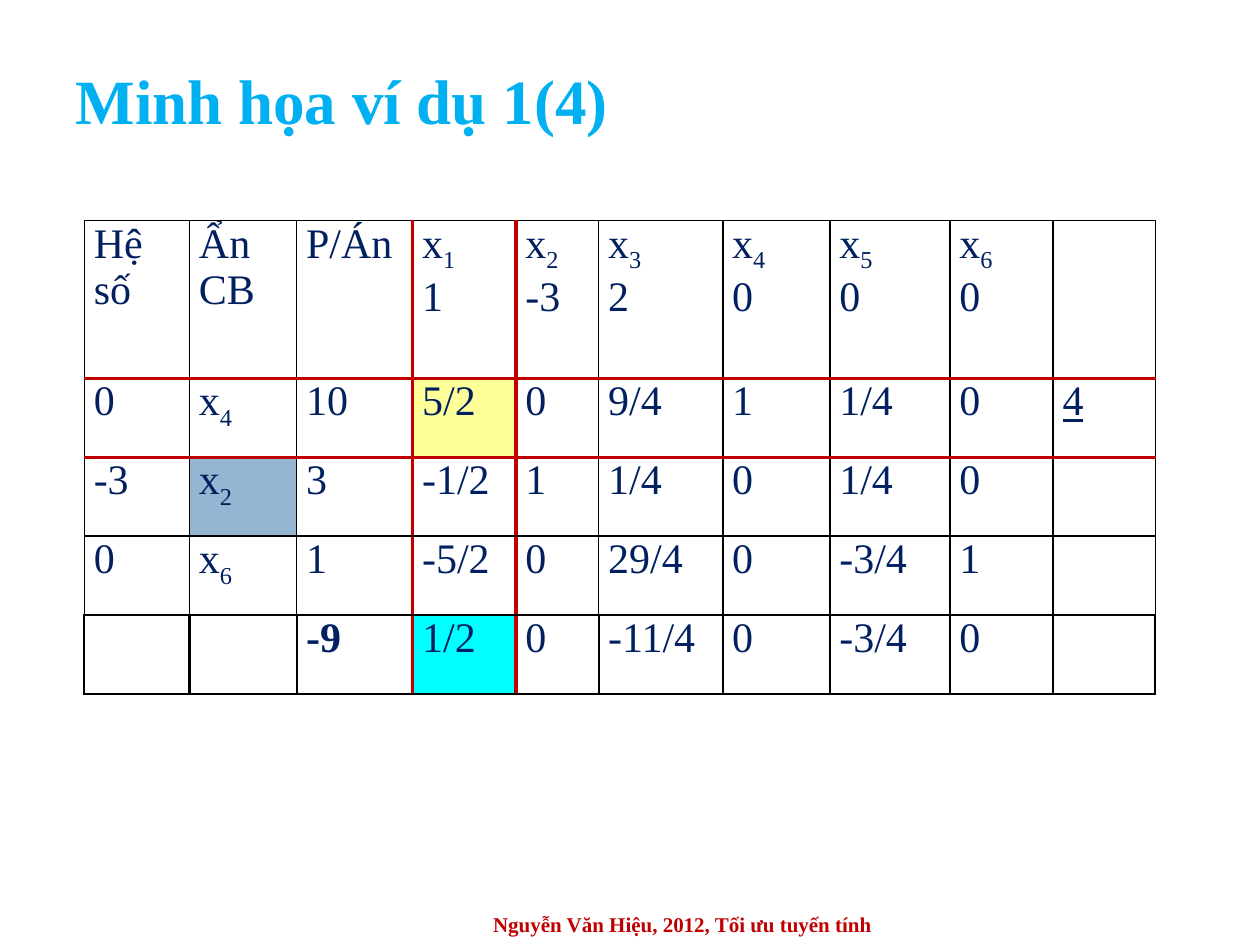
from dataclasses import dataclass

from lxml import etree
from pptx import Presentation
from pptx.dml.color import RGBColor
from pptx.enum.text import MSO_ANCHOR, PP_ALIGN
from pptx.oxml.ns import qn
from pptx.table import Table, _Cell
from pptx.text.text import TextFrame, _Paragraph
from pptx.util import Cm, Pt

LEFT, CENTER, JUSTIFY = PP_ALIGN.LEFT, PP_ALIGN.CENTER, PP_ALIGN.JUSTIFY
MIDDLE = MSO_ANCHOR.MIDDLE


@dataclass(frozen=True)
class Theme:
    font: str = "Times New Roman"
    title_color: str = "00B0F0"
    text_color: str = "002060"
    accent: str = "C00000"
    line: str = "000000"
    pivot: str = "FFFF99"
    leaving: str = "94B6D2"
    entering: str = "00FFFF"
    title_size: float = 36
    cell_size: float = 24
    footer_size: float = 12


@dataclass(frozen=True)
class Border:
    color: str
    width: float


@dataclass(frozen=True)
class Style:
    size: float
    color: str
    bold: bool = False
    underline: bool = False


THEME = Theme()
THIN = Border(THEME.line, 1)
MEDIUM = Border(THEME.line, 1.5)
THICK = Border(THEME.accent, 2.25)

COLUMNS = (2.12, 2.16, 2.34, 2.08, 1.67, 2.5, 2.16, 2.42, 2.08, 2.06)
ROWS = (3.18, 1.59, 1.59, 1.59, 1.59)
TABLEAU = (
    ("Hệ số", "Ẩn CB", "P/Án", "x_1\n1", "x_2\n-3", "x_3\n2", "x_4\n0", "x_5\n0", "x_6\n0", ""),
    ("0", "x_4", "10", "5/2", "0", "9/4", "1", "1/4", "0", "4"),
    ("-3", "x_2", "3", "-1/2", "1", "1/4", "0", "1/4", "0", ""),
    ("0", "x_6", "1", "-5/2", "0", "29/4", "0", "-3/4", "1", ""),
    ("", "", "-9", "1/2", "0", "-11/4", "0", "-3/4", "0", ""),
)
FILLS = {(1, 3): THEME.pivot, (2, 1): THEME.leaving, (4, 3): THEME.entering}
CELL_STYLE = Style(THEME.cell_size, THEME.text_color)
SPECIAL_STYLES = {
    (1, 9): Style(THEME.cell_size, THEME.text_color, underline=True),
    (4, 2): Style(THEME.cell_size, THEME.text_color, bold=True),
}
LAST_ROW = len(ROWS) - 1
PIVOT_EDGES = (3, 4)
ROW_EDGES = (THIN, THICK, THICK, THIN, MEDIUM, MEDIUM)


def add_run(p: _Paragraph, text: str, style: Style, subscript: bool = False) -> None:
    r = p.add_run()
    r.text = text
    formats = {
        "name": THEME.font,
        "size": Pt(style.size),
        "bold": style.bold,
        "underline": style.underline,
    }
    for name, value in formats.items():
        setattr(r.font, name, value)
    r.font.color.rgb = RGBColor.from_string(style.color)
    if subscript:
        r._r.get_or_add_rPr().set("baseline", "-25000")


def write(tf: TextFrame, text: str, style: Style, align: PP_ALIGN) -> None:
    for i, line in enumerate(text.split("\n")):
        p = tf.add_paragraph() if i else tf.paragraphs[0]
        p.alignment = align
        base, _, index = line.partition("_")
        add_run(p, base, style)
        if index:
            add_run(p, index, style, subscript=True)


def set_borders(cell: _Cell, row: int, col: int) -> None:
    def column_edge(edge: int) -> Border:
        if edge in PIVOT_EDGES:
            return THICK
        return MEDIUM if row == LAST_ROW else THIN

    borders = {
        "a:lnL": column_edge(col),
        "a:lnR": column_edge(col + 1),
        "a:lnT": ROW_EDGES[row],
        "a:lnB": ROW_EDGES[row + 1],
    }
    tc_pr = cell._tc.get_or_add_tcPr()
    for tag, border in borders.items():
        ln = etree.SubElement(tc_pr, qn(tag), w=str(Pt(border.width)))
        solid = etree.SubElement(ln, qn("a:solidFill"))
        etree.SubElement(solid, qn("a:srgbClr"), val=border.color)


def fill_cell(table: Table, row: int, col: int, text: str) -> None:
    cell = table.cell(row, col)
    margins = {
        "margin_left": Cm(0.19),
        "margin_right": Cm(0.19),
        "margin_top": 0,
        "margin_bottom": 0,
    }
    for name, value in margins.items():
        setattr(cell, name, value)
    set_borders(cell, row, col)
    color = FILLS.get((row, col))
    if color:
        cell.fill.solid()
        cell.fill.fore_color.rgb = RGBColor.from_string(color)
    else:
        cell.fill.background()
    if text:
        write(cell.text_frame, text, SPECIAL_STYLES.get((row, col), CELL_STYLE), JUSTIFY)


def add_tableau(s) -> None:
    frame = s.shapes.add_table(
        len(ROWS), len(COLUMNS), Cm(1.7), Cm(4.45), Cm(sum(COLUMNS)), Cm(sum(ROWS))
    )
    table = frame.table
    table.first_row = False
    table.horz_banding = False
    for column, width in zip(table.columns, COLUMNS):
        column.width = Cm(width)
    for row, height in zip(table.rows, ROWS):
        row.height = Cm(height)
    for i, values in enumerate(TABLEAU):
        for j, text in enumerate(values):
            fill_cell(table, i, j, text)


def main() -> None:
    prs = Presentation()
    prs.slide_width, prs.slide_height = Cm(25.4), Cm(19.05)
    s = prs.slides.add_slide(prs.slide_layouts[5])

    title = s.shapes.title
    title.left, title.top, title.width, title.height = Cm(1.27), Cm(1.06), Cm(22.86), Cm(1.9)
    title.text_frame.vertical_anchor = MIDDLE
    title_style = Style(THEME.title_size, THEME.title_color, bold=True)
    write(title.text_frame, "Minh họa ví dụ 1(4)", title_style, LEFT)

    footer = s.shapes.add_textbox(Cm(7.41), Cm(18.2), Cm(12.7), Cm(0.85))
    footer.text_frame.word_wrap = True
    footer.text_frame.vertical_anchor = MIDDLE
    footer_style = Style(THEME.footer_size, THEME.accent, bold=True)
    write(footer.text_frame, "Nguyễn Văn Hiệu, 2012, Tối ưu tuyến tính", footer_style, CENTER)

    add_tableau(s)
    prs.save("out.pptx")


if __name__ == "__main__":
    main()
